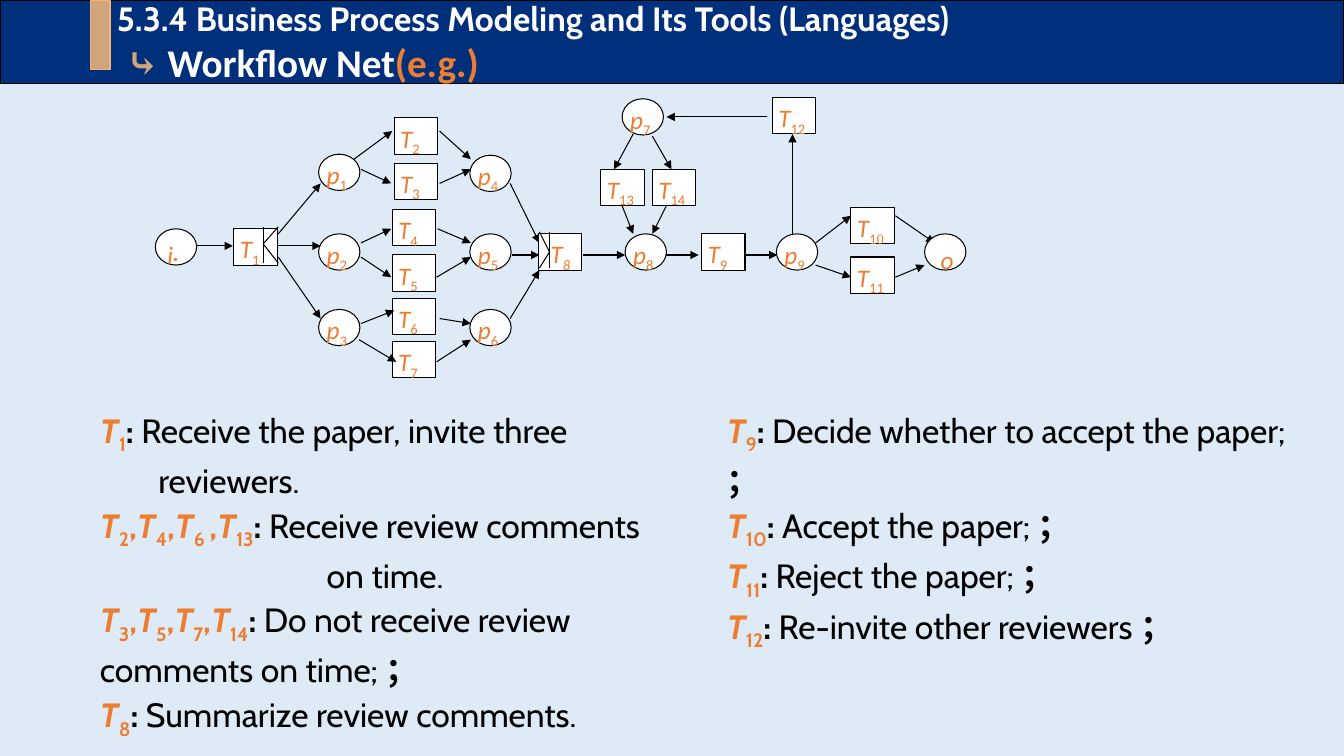
from lxml.etree import SubElement
from pptx import Presentation
from pptx.dml.color import RGBColor
from pptx.enum.shapes import MSO_CONNECTOR as Connector, MSO_SHAPE as Preset
from pptx.enum.text import MSO_ANCHOR as Anchor, MSO_AUTO_SIZE as AutoSize, PP_ALIGN as Align
from pptx.oxml.ns import qn
from pptx.util import Inches, Pt

CIRCLE, BOX = (0.41, 0.36), (0.43, 0.36)

# Left and top of each node; places start with p, transitions with T
FRONT_NODES = {
    "p1": (3.16, 1.53), "p2": (3.16, 2.32), "p3": (3.16, 3.07),
    "p4": (4.66, 1.54), "p5": (4.66, 2.32), "p6": (4.66, 3.07),
    "T2": (3.91, 1.17), "T3": (3.91, 1.62), "T4": (3.89, 2.08),
    "T5": (3.89, 2.53), "T6": (3.89, 2.96), "T7": (3.89, 3.39),
}
BACK_NODES = {
    "i": (1.54, 2.27), "T1": (2.32, 2.27), "o": (9.17, 2.32),
    "p7": (6.17, 0.98), "p8": (6.2, 2.32), "p9": (7.7, 2.32),
    "T8": (5.34, 2.32), "T9": (6.96, 2.32), "T10": (8.44, 2.06),
    "T11": (8.44, 2.55), "T12": (7.66, 0.97), "T13": (5.96, 1.68), "T14": (6.47, 1.68),
}
# Start x, start y, end x, end y
ARROWS = [
    (1.95, 2.44, 2.31, 2.44), (2.76, 2.32, 3.18, 1.82),
    (2.76, 2.44, 3.18, 2.44), (2.76, 2.55, 3.18, 3.16),
    (3.51, 1.58, 3.89, 1.3), (3.58, 1.68, 3.88, 1.82),
    (3.58, 2.41, 3.88, 2.27), (3.58, 2.55, 3.88, 2.75),
    (3.58, 3.21, 3.91, 3.08), (3.56, 3.37, 3.93, 3.59),
    (4.36, 1.3, 4.67, 1.58), (4.36, 1.82, 4.67, 1.68),
    (4.34, 2.27, 4.67, 2.41), (4.33, 2.75, 4.67, 2.55),
    (4.36, 3.16, 4.67, 3.21), (4.33, 3.59, 4.67, 3.37),
    (5.06, 1.82, 5.35, 2.41), (5.08, 2.53, 5.35, 2.53),
    (5.06, 3.16, 5.35, 2.68), (5.78, 2.53, 6.2, 2.53),
    (6.61, 2.53, 6.93, 2.53), (7.4, 2.53, 7.71, 2.53),
    (8.09, 2.41, 8.44, 2.14), (8.09, 2.63, 8.44, 2.75),
    (8.88, 2.14, 9.27, 2.41), (8.88, 2.75, 9.17, 2.63),
    (7.86, 2.32, 7.86, 1.33), (7.61, 1.16, 6.61, 1.16),
    (6.28, 1.33, 6.09, 1.68), (6.47, 1.35, 6.66, 1.68),
    (6.17, 2.04, 6.28, 2.32), (6.61, 2.04, 6.47, 2.32),
]
SPLIT_AND_JOIN_MARKS = [
    (2.61, 2.25, 2.61, 2.61), (2.61, 2.42, 2.76, 2.25), (2.61, 2.42, 2.76, 2.61),
    (5.45, 2.3, 5.45, 2.66), (5.35, 2.3, 5.45, 2.5), (5.35, 2.66, 5.45, 2.5),
]
# Transition numbers, meaning, closing mark, hanging indent
LEFT_LEGEND = [
    (["1"], "Receive the paper, invite three reviewers.", "", 0.58),
    (["2", "4", "6 ", "13"], "Receive review comments on time.", "", 2.25),
    (["3", "5", "7", "14"], "Do not receive review comments on time; ", "；", 0),
    (["8"], "Summarize review comments.", "", 0),
]
RIGHT_LEGEND = [
    (["9"], "Decide whether to accept the paper; ", "；", 0),
    (["10"], "Accept the paper; ", "；", 0),
    (["11"], "Reject the paper; ", "；", 0),
    (["12"], "Re-invite other reviewers ", "；", 0),
]


def color(value):
    return RGBColor.from_string(value)


class WorkflowSlide:
    ORANGE, BLACK, WHITE, TAN, NAVY = "ED7D31", "000000", "FFFFFF", "CFA57C", "002F7C"

    def __init__(self, presentation, background):
        self.slide = presentation.slides.add_slide(presentation.slide_layouts[3])
        self.slide.background.fill.solid()
        self.slide.background.fill.fore_color.rgb = color(background)

    def place(self, shape, left, top, width, height):
        shape.left, shape.top = Inches(left), Inches(top)
        shape.width, shape.height = Inches(width), Inches(height)

    def paint(self, shape, fill, line, weight):
        shape.fill.solid()
        shape.fill.fore_color.rgb = color(fill)
        shape.line.color.rgb = color(line)
        shape.line.width = Pt(weight)

    def run(self, paragraph, text, tint, italic=None, bold=None, size=None, font=None, subscript=False):
        run = paragraph.add_run()
        run.text = text
        run.font.color.rgb = color(tint)
        run.font.italic, run.font.bold, run.font.name = italic, bold, font
        if size:
            run.font.size = Pt(size)
        if subscript:
            run._r.get_or_add_rPr().set("baseline", "-25000")

    def indent(self, paragraph, margin, first=0):
        """Set the left margin and first-line indent, without a bullet."""
        properties = paragraph._p.get_or_add_pPr()
        properties.set("marL", str(Inches(margin)))
        properties.set("indent", str(Inches(first)))
        SubElement(properties, qn("a:buNone"))

    def title(self, number_line, topic, suffix):
        title = self.slide.shapes.title
        self.place(title, 0, 0, 13.33, 0.83)
        self.paint(title, self.NAVY, self.BLACK, 1)
        frame = title.text_frame
        frame.auto_size, frame.vertical_anchor = AutoSize.NONE, Anchor.MIDDLE
        heading, subheading = frame.paragraphs[0], frame.add_paragraph()
        for paragraph, margin, size in ((heading, 1.06, 24), (subheading, 1.15, 28)):
            paragraph.alignment = Align.LEFT
            self.indent(paragraph, margin)
            paragraph.font.size, paragraph.font.bold = Pt(size), True
        self.run(heading, number_line, self.WHITE, font="Cabin")
        self.run(subheading, "⤷ ", self.TAN, font="Cabin")
        self.run(subheading, topic, self.WHITE, font="Calibri")
        self.run(subheading, suffix, self.ORANGE, font="Calibri")

    def bar(self, left, top, width, height, line):
        bar = self.slide.shapes.add_shape(Preset.RECTANGLE, 0, 0, 0, 0)
        self.place(bar, left, top, width, height)
        self.paint(bar, self.TAN, line, 1)
        bar.shadow.inherit = False

    def node(self, name, left, top):
        letter, number = name[0], name[1:]
        preset, size = (Preset.RECTANGLE, BOX) if letter == "T" else (Preset.OVAL, CIRCLE)
        node = self.slide.shapes.add_shape(preset, 0, 0, 0, 0)
        self.place(node, left, top, *size)
        self.paint(node, self.WHITE, self.BLACK, 0.75)
        node.shadow.inherit = False
        frame = node.text_frame
        frame.vertical_anchor = Anchor.TOP
        side, edge = {"p": (0.02, 0), "o": (0.1, 0.05)}.get(letter, (0.06, 0.05))
        # The join mark takes up the left of T8
        frame.margin_left = Inches(0.12 if name == "T8" else side)
        frame.margin_right = Inches(side)
        frame.margin_top = frame.margin_bottom = Inches(edge)
        paragraph = frame.paragraphs[0]
        paragraph.alignment = Align.JUSTIFY
        self.run(paragraph, letter, self.ORANGE, italic=True, size=18, font="Calibri")
        if letter == "i":
            self.run(paragraph, "•", self.ORANGE, size=10, font="Times New Roman")
        for digit in number:
            font = "Times New Roman" if digit == "0" else "Calibri"
            self.run(paragraph, digit, self.ORANGE, italic=name == "T8", size=18, font=font, subscript=True)

    def line(self, *ends, arrow=False):
        line = self.slide.shapes.add_connector(Connector.STRAIGHT, *map(Inches, ends))
        line.line.color.rgb = color(self.BLACK)
        line.line.width = Pt(0.75)
        if arrow:
            SubElement(line.line._get_or_add_ln(), qn("a:tailEnd"), type="triangle")
        SubElement(line._element.spPr, qn("a:effectLst"))

    def legend(self, body, left, height, entries):
        self.place(body, left, 3.97, 5.88, height)
        frame = body.text_frame
        frame.auto_size, frame.word_wrap = AutoSize.NONE, True
        for index, (numbers, meaning, closing, hanging) in enumerate(entries):
            paragraph = frame.add_paragraph() if index else frame.paragraphs[0]
            paragraph.line_spacing, paragraph.space_before = 1.1, Pt(0)
            self.indent(paragraph, hanging, -hanging)
            paragraph.font.size, paragraph.font.name = Pt(24), "Cabin"
            for position, number in enumerate(numbers):
                if position:
                    self.run(paragraph, ",", self.ORANGE, bold=True)
                self.run(paragraph, "T", self.ORANGE, italic=True, bold=True)
                self.run(paragraph, number, self.ORANGE, bold=True, subscript=True)
            self.run(paragraph, ":", self.BLACK, bold=True)
            self.run(paragraph, " " + meaning, self.BLACK, bold=False)
            if closing:
                self.run(paragraph, closing, self.BLACK, bold=True)


def main():
    presentation = Presentation()
    presentation.slide_width, presentation.slide_height = Inches(13.33), Inches(7.5)
    page = WorkflowSlide(presentation, "DEEBF7")
    page.title("5.3.4 Business Process Modeling and Its Tools (Languages)", "Workflow Net", "(e.g.)")
    page.bar(0.9, 0, 0.19, 0.69, "F4B183")
    for name, corner in FRONT_NODES.items():
        page.node(name, *corner)
    for ends in ARROWS:
        page.line(*ends, arrow=True)
    for name, corner in BACK_NODES.items():
        page.node(name, *corner)
    for ends in SPLIT_AND_JOIN_MARKS:
        page.line(*ends)
    left_body, right_body = list(page.slide.placeholders)[1:]
    page.legend(left_body, 0.89, 3.17, LEFT_LEGEND)
    page.legend(right_body, 7.11, 2.28, RIGHT_LEGEND)
    presentation.save("out.pptx")


if __name__ == "__main__":
    main()
